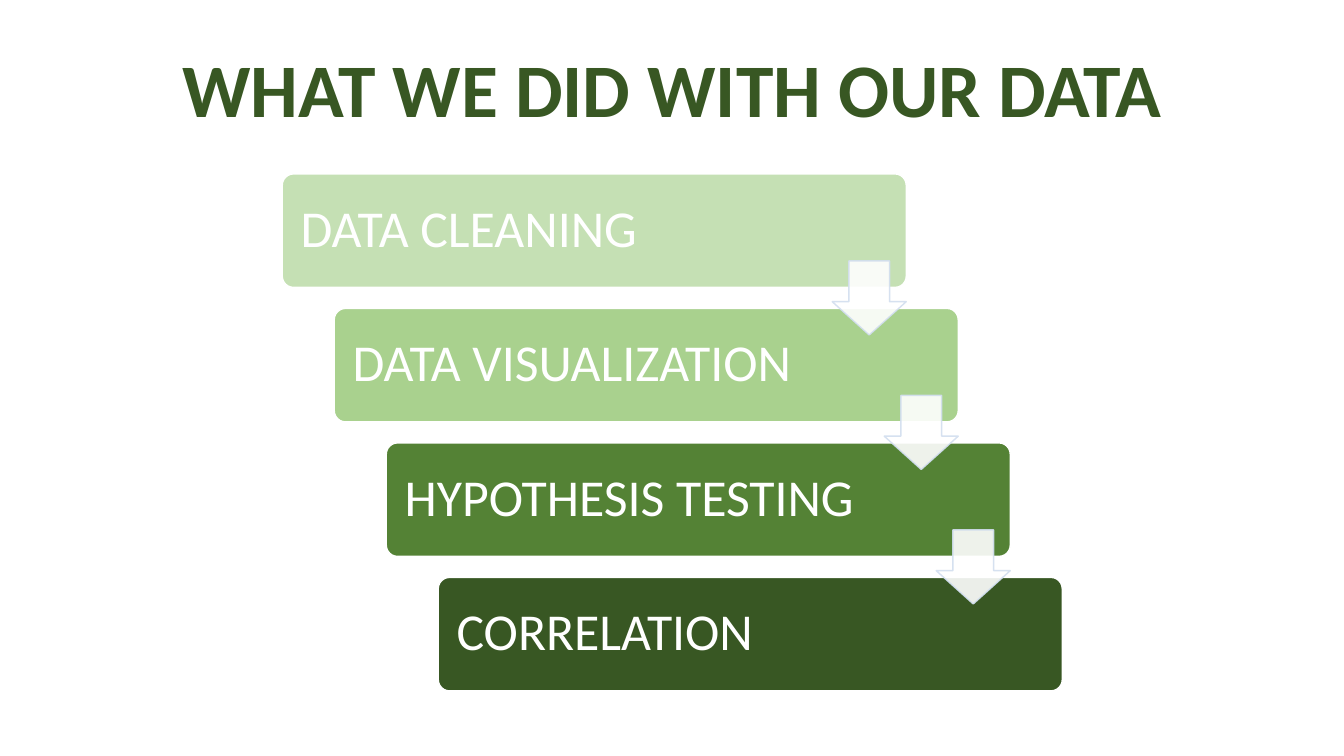
import dataclasses

import pptx
import pptx.dml.color
import pptx.enum.shapes
import pptx.enum.text
import pptx.oxml
import pptx.oxml.ns
import pptx.util

Pt = pptx.util.Pt
Shape = pptx.enum.shapes.MSO_SHAPE
Align = pptx.enum.text.PP_ALIGN
Anchor = pptx.enum.text.MSO_ANCHOR


@dataclasses.dataclass(frozen=True)
class Theme:
    font: str = "Calibri"
    title_size: float = 54
    step_size: float = 37
    title_color: str = "385723"
    white: str = "FFFFFF"
    arrow_edge: str = "D2DEEF"
    arrow_opacity: int = 90


@dataclasses.dataclass(frozen=True)
class Box:
    left: float
    top: float
    width: float
    height: float

    def points(self):
        return [Pt(length) for length in dataclasses.astuple(self)]


THEME = Theme()
HEADING = "WHAT WE DID WITH OUR DATA"
STEPS = [
    ("DATA CLEANING", "C5E0B4"),
    ("DATA VISUALIZATION", "A9D18E"),
    ("HYPOTHESIS TESTING", "548235"),
    ("CORRELATION", "385723"),
]


def rgb(value):
    return pptx.dml.color.RGBColor.from_string(value)


def set_values(target, values):
    for name, value in values.items():
        setattr(target, name, value)


def write(frame, text, color, size, bold, align, inset):
    set_values(frame, {
        "word_wrap": True, "vertical_anchor": Anchor.MIDDLE,
        "margin_left": Pt(inset), "margin_right": Pt(inset),
        "margin_top": 0, "margin_bottom": 0,
    })
    paragraph = frame.paragraphs[0]
    set_values(paragraph, {"text": text, "alignment": align, "line_spacing": 0.9})
    font = paragraph.runs[0].font
    set_values(font, {"name": THEME.font, "size": Pt(size), "bold": bold})
    font.color.rgb = rgb(color)


def add_outlined(shapes, preset, box, adjustments, fill, edge):
    shape = shapes.add_shape(preset, *box.points())
    shape.shadow.inherit = False
    for index, value in enumerate(adjustments):
        shape.adjustments[index] = value
    shape.fill.solid()
    shape.fill.fore_color.rgb = rgb(fill)
    shape.line.color.rgb = rgb(edge)
    shape.line.width = Pt(1)
    return shape


def set_opacity(shape, percent):
    """Make both the fill and the line of a shape partly transparent."""
    for color in shape._element.spPr.iter(pptx.oxml.ns.qn("a:srgbClr")):
        color.append(pptx.oxml.parse_xml(
            f'<a:alpha {pptx.oxml.ns.nsdecls("a")} val="{percent * 1000}"/>'))


def add_heading(slide, box):
    heading = slide.shapes.add_textbox(*box.points())
    write(heading.text_frame, HEADING, THEME.title_color, THEME.title_size,
          True, Align.CENTER, 0)


def add_staircase(slide, box):
    """Place one bar per step, descending to the right, joined by arrows."""
    bar_width, bar_height, arrow_size = box.width * 0.8, 81.1, 52.9
    gaps = len(STEPS) - 1
    shift = (box.width - bar_width) / gaps
    drop = (box.height - bar_height) / gaps
    corners = [(box.left + i * shift, box.top + i * drop) for i in range(len(STEPS))]
    shapes = slide.shapes.add_group_shape().shapes

    for (label, fill), (left, top) in zip(STEPS, corners):
        bar = add_outlined(shapes, Shape.ROUNDED_RECTANGLE,
                           Box(left, top, bar_width, bar_height),
                           [0.1], fill, THEME.white)
        write(bar.text_frame, label, THEME.white, THEME.step_size,
              False, Align.LEFT, 10.8)

    for left, top in corners[:-1]:
        arrow = add_outlined(shapes, Shape.DOWN_ARROW,
                             Box(left + bar_width - arrow_size, top + 62.2,
                                 arrow_size, arrow_size),
                             [0.55, 0.45], THEME.white, THEME.arrow_edge)
        set_opacity(arrow, THEME.arrow_opacity)


def main():
    deck = pptx.Presentation()
    set_values(deck, {"slide_width": Pt(960), "slide_height": Pt(540)})
    slide = deck.slides.add_slide(deck.slide_layouts[6])
    add_heading(slide, Box(66, 36.3, 828, 60))
    add_staircase(slide, Box(201.6, 124.2, 557.2, 369.3))
    deck.save("out.pptx")


if __name__ == "__main__":
    main()
